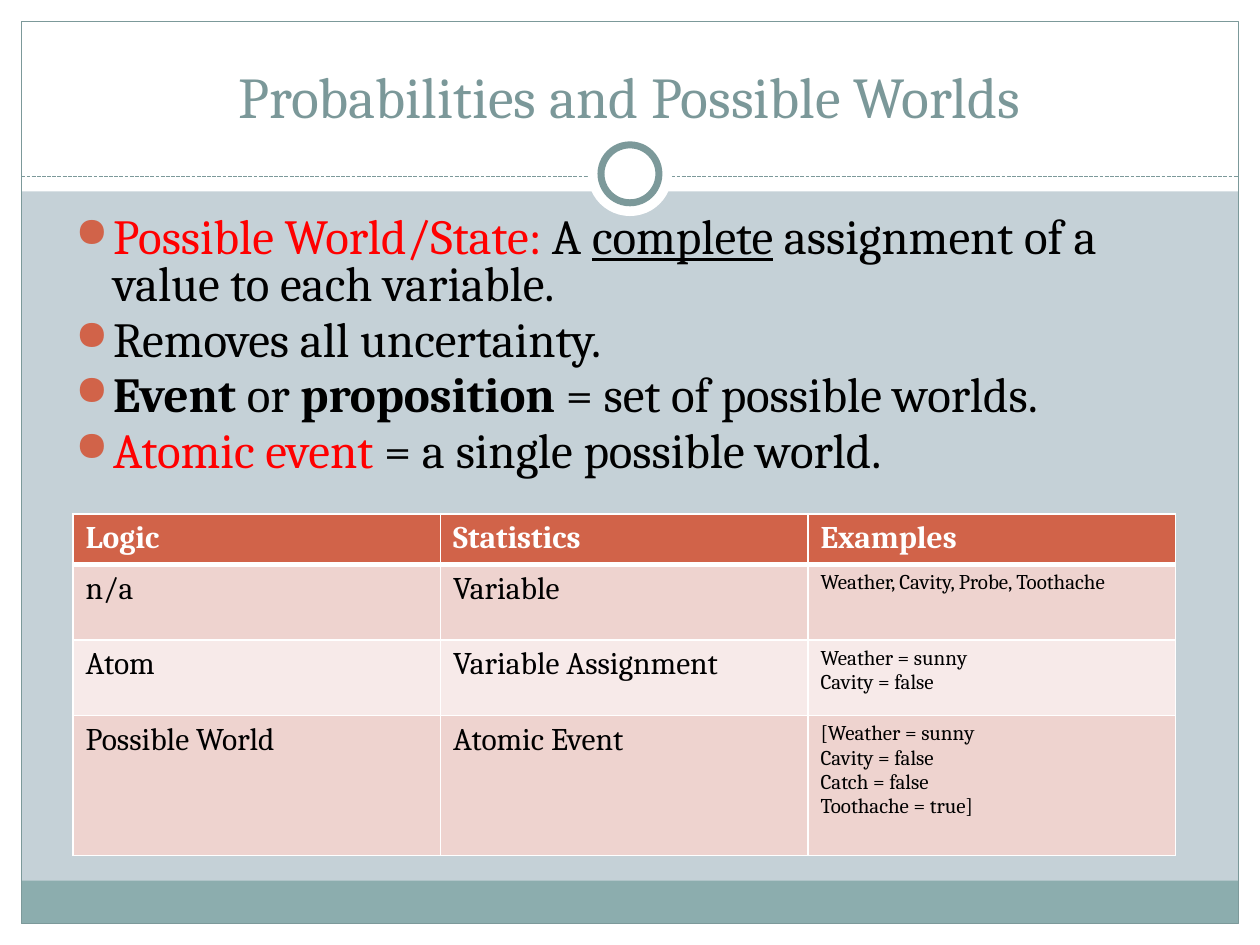
import pptx
import pptx.dml.color
import pptx.enum.dml
import pptx.enum.shapes
import pptx.enum.text
import pptx.oxml
import pptx.oxml.ns
import pptx.util
from lxml import etree

Inches, Pt = pptx.util.Inches, pptx.util.Pt
RGBColor = pptx.dml.color.RGBColor
MSO_SHAPE = pptx.enum.shapes.MSO_SHAPE
qn = pptx.oxml.ns.qn

WHITE = RGBColor(0xFF, 0xFF, 0xFF)
BLACK = RGBColor(0, 0, 0)
RED = RGBColor(0xFF, 0, 0)
BACKGROUND = RGBColor(0xC5, 0xD1, 0xD7)
BAND = RGBColor(0x8C, 0xAD, 0xAE)
FRAME = RGBColor(0x7C, 0x99, 0x9A)
TITLE = RGBColor(0x7B, 0x98, 0x99)
ACCENT = RGBColor(0xD1, 0x63, 0x49)
ROW_DARK = RGBColor(0xEE, 0xD3, 0xCF)
ROW_LIGHT = RGBColor(0xF7, 0xEA, 0xE9)

FONT = "Cambria"
W, H = 10, 7.5
MARGIN = 0.17
RULE_Y = 1.4
RING_Y = 1.38

BULLETS = [
    [("Possible World/State: ", {"color": RED}), ("A ", {}),
     ("complete", {"underline": True}),
     (" assignment of a value to each variable.", {})],
    [("Removes all uncertainty.", {})],
    [("Event ", {"bold": True}), ("or", {}),
     (" proposition ", {"bold": True}), ("= set of possible worlds.", {})],
    [("Atomic event", {"color": RED}), (" = a single possible world.", {})],
]

# Each cell lists its paragraphs; each paragraph lists its lines.
ROWS = [
    (0.4, [[["Logic"]], [["Statistics"]], [["Examples"]]]),
    (0.6, [[["n/a"]], [["Variable"]],
           [["Weather, Cavity, Probe, Toothache"]]]),
    (0.6, [[["Atom"]], [["Variable Assignment"]],
           [["Weather = sunny", "Cavity = false"]]]),
    (1.11, [[["Possible World"]], [["Atomic Event"]],
            [["[Weather = sunny", "Cavity = false"],
             ["Catch = false"], ["Toothache = true]"]]]),
]


def add_run(p, text, size, color=BLACK, bold=False, underline=False):
    r = p.add_run()
    r.text = text
    r.font.name = FONT
    r.font.size = Pt(size)
    r.font.color.rgb = color
    r.font.bold = bold
    r.font.underline = underline


def add_panel(s, box, fill=None, line=None, width=0.75,
              kind=MSO_SHAPE.RECTANGLE):
    sp = s.shapes.add_shape(kind, *map(Inches, box))
    sp.shadow.inherit = False
    if fill is None:
        sp.fill.background()
    else:
        sp.fill.solid()
        sp.fill.fore_color.rgb = fill
    if line is None:
        sp.line.fill.background()
    else:
        sp.line.color.rgb = line
        sp.line.width = Pt(width)


def add_ring(s, size, line=None):
    box = (W / 2 - size / 2, RING_Y - size / 2, size, size)
    add_panel(s, box, WHITE, line, 4, MSO_SHAPE.OVAL)


def add_dashed_rule(s):
    c = s.shapes.add_connector(
        pptx.enum.shapes.MSO_CONNECTOR.STRAIGHT,
        *map(Inches, (MARGIN, RULE_Y, W - MARGIN, RULE_Y)))
    c.line.color.rgb = FRAME
    c.line.width = Pt(0.75)
    c.line.dash_style = pptx.enum.dml.MSO_LINE.SQUARE_DOT
    etree.SubElement(c._element.spPr, qn("a:effectLst"))


def add_frame(s):
    inner_w, inner_h = W - 2 * MARGIN, H - 2 * MARGIN
    for box in ((0, H - MARGIN, W, MARGIN), (0, 0, W, 1.52),
                (0, 0, MARGIN, H), (W - MARGIN, 0, MARGIN, H)):
        add_panel(s, box, WHITE)
    add_panel(s, (MARGIN, 6.99, inner_w, 0.34), BAND)
    add_panel(s, (MARGIN, MARGIN, inner_w, inner_h), line=FRAME)
    add_dashed_rule(s)
    add_ring(s, 0.67)
    add_ring(s, 0.46, FRAME)


def set_title(s, text):
    sp = s.shapes.title
    sp.left, sp.top, sp.width, sp.height = map(Inches, (0.33, 0.25, 9.33, 0.83))
    s.shapes._spTree.append(sp._element)  # in front of the frame
    tf = sp.text_frame
    tf.vertical_anchor = pptx.enum.text.MSO_ANCHOR.BOTTOM
    p = tf.paragraphs[0]
    p.alignment = pptx.enum.text.PP_ALIGN.CENTER
    add_run(p, text, 33, TITLE)


def set_bullet(p):
    pPr = p._p.get_or_add_pPr()
    pPr.set("marL", str(Inches(0.3)))
    pPr.set("indent", str(-Inches(0.3)))
    color = etree.SubElement(pPr, qn("a:buClr"))
    etree.SubElement(color, qn("a:srgbClr"), val=str(ACCENT))
    etree.SubElement(pPr, qn("a:buSzPct"), val="85000")
    etree.SubElement(pPr, qn("a:buChar"), char="●")


def add_bullets(s):
    tf = s.shapes.add_textbox(*map(Inches, (0.5, 1.67, 9, 3.25))).text_frame
    tf.word_wrap = True
    for i, runs in enumerate(BULLETS):
        p = tf.add_paragraph() if i else tf.paragraphs[0]
        p.line_spacing = 0.8
        p.space_before = Pt(5)
        set_bullet(p)
        for text, style in runs:
            add_run(p, text, 28, **style)


def set_borders(cell, top, bottom):
    tcPr = cell._tc.get_or_add_tcPr()
    widths = {"L": 1, "R": 1, "T": top, "B": bottom}
    for i, (side, width) in enumerate(widths.items()):
        ln = pptx.oxml.ns.qn("a:ln" + side)
        ln = etree.Element(ln, w=str(Pt(width)))
        fill = etree.SubElement(ln, qn("a:solidFill"))
        etree.SubElement(fill, qn("a:srgbClr"), val=str(WHITE))
        tcPr.insert(i, ln)


def fill_cell(cell, paragraphs, row, size):
    header = row == 0
    cell.fill.solid()
    cell.fill.fore_color.rgb = (
        ACCENT if header else ROW_DARK if row % 2 else ROW_LIGHT)
    set_borders(cell, 3 if row == 1 else 1, 3 if header else 1)
    tf = cell.text_frame
    for i, lines in enumerate(paragraphs):
        p = tf.add_paragraph() if i else tf.paragraphs[0]
        for j, line in enumerate(lines):
            if j:
                p.add_line_break()
            add_run(p, line, size, WHITE if header else BLACK, header)


def add_terms_table(s):
    height = sum(h for h, _ in ROWS)
    table = s.shapes.add_table(
        len(ROWS), 3, *map(Inches, (0.58, 4.08, 8.75, height))).table
    for i, (h, cells) in enumerate(ROWS):
        table.rows[i].height = Inches(h)
        for j, paragraphs in enumerate(cells):
            size = 12 if i and j == 2 else 18
            fill_cell(table.cell(i, j), paragraphs, i, size)


def main():
    prs = pptx.Presentation()
    prs.slide_width, prs.slide_height = Inches(W), Inches(H)
    s = prs.slides.add_slide(prs.slide_layouts[5])
    s.background.fill.solid()
    s.background.fill.fore_color.rgb = BACKGROUND
    add_frame(s)
    set_title(s, "Probabilities and Possible Worlds")
    add_bullets(s)
    add_terms_table(s)
    prs.save("out.pptx")


if __name__ == "__main__":
    main()
